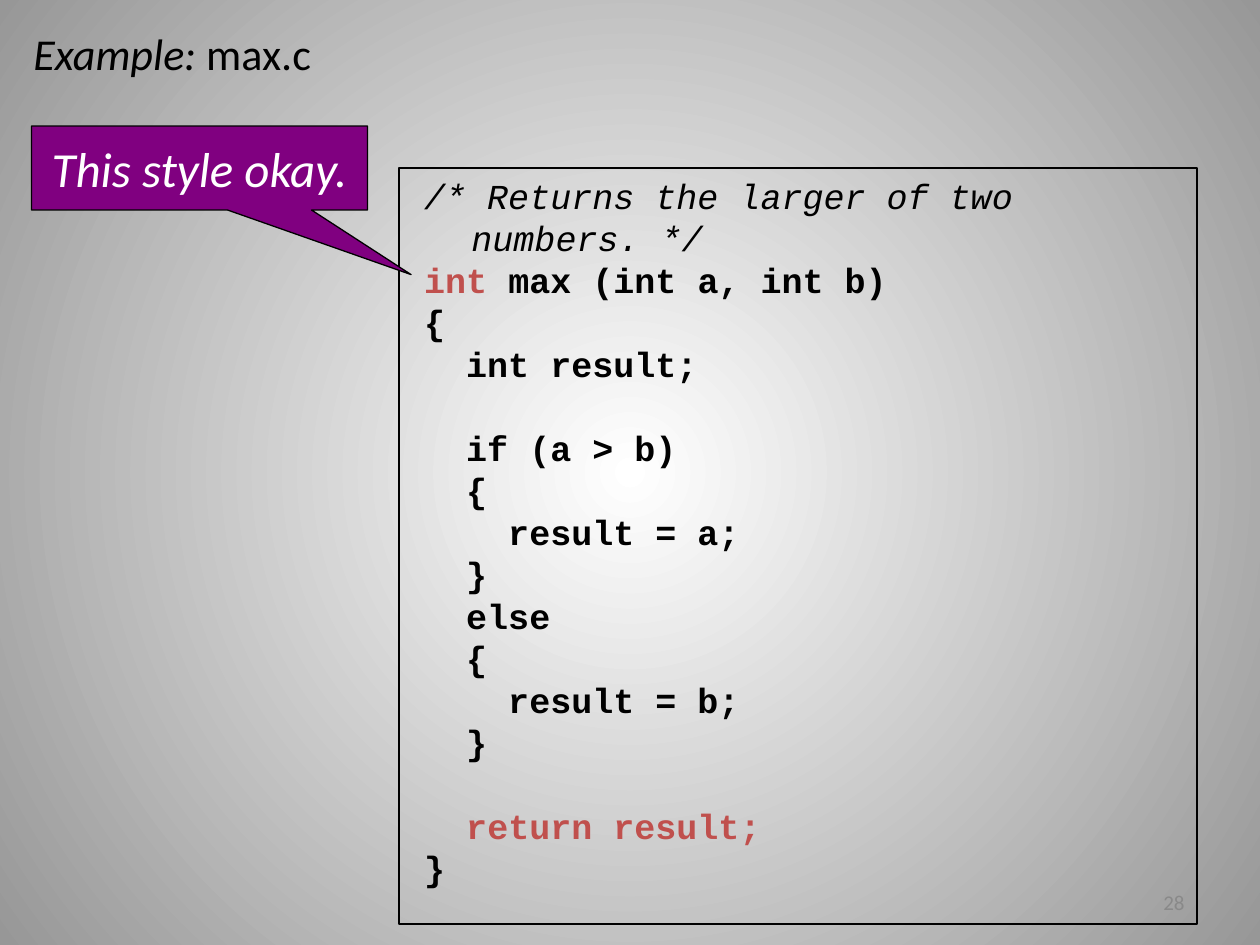
import pptx
import pptx.dml.color
import pptx.enum.shapes
import pptx.enum.text
import pptx.oxml
import pptx.oxml.ns
import pptx.util
from dataclasses import dataclass

Pt = pptx.util.Pt
Color = pptx.dml.color.RGBColor.from_string
Align = pptx.enum.text.PP_ALIGN
Anchor = pptx.enum.text.MSO_ANCHOR
Shape = pptx.enum.shapes.MSO_SHAPE


@dataclass(frozen=True)
class Theme:
    center: str = "FFFFFF"
    edge: str = "979797"
    ink: str = "000000"
    accent: str = "C0504D"
    callout: str = "800080"
    callout_ink: str = "FFFFFF"
    muted: str = "898989"
    body_font: str = "Calibri"
    code_font: str = "Courier New"
    title_size: float = 25.2
    callout_size: float = 28
    code_size: float = 20
    code_leading: float = 24
    number_size: float = 12
    outline: float = 0.75


THEME = Theme()

COMMENT = "/* Returns the larger of two numbers. */"
CODE = """\
int max (int a, int b)
{
  int result;

  if (a > b)
  {
    result = a;
  }
  else
  {
    result = b;
  }

  return result;
}"""
HIGHLIGHTS = {0: "int", 13: "return result;"}


def set_values(target, values):
    for name, value in values.items():
        setattr(target, name, value)


def style(name, size, color, **extra):
    return {"name": name, "size": Pt(size), "color": color, **extra}


def add_run(paragraph, text, format_values):
    run = paragraph.add_run()
    run.text = text
    values = dict(format_values)
    run.font.color.rgb = Color(values.pop("color"))
    set_values(run.font, values)


def add_text(slide, box, runs, alignment=Align.LEFT):
    shape = slide.shapes.add_textbox(*map(Pt, box))
    set_values(shape.text_frame, {"word_wrap": True, "vertical_anchor": Anchor.MIDDLE})
    paragraph = shape.text_frame.paragraphs[0]
    paragraph.alignment = alignment
    for text, format_values in runs:
        add_run(paragraph, text, format_values)


def add_outlined_shape(slide, kind, box, fill=None):
    shape = slide.shapes.add_shape(kind, *map(Pt, box))
    shape.shadow.inherit = False
    if fill:
        shape.fill.solid()
        shape.fill.fore_color.rgb = Color(fill)
    else:
        shape.fill.background()
    shape.line.color.rgb = Color(THEME.ink)
    shape.line.width = Pt(THEME.outline)
    return shape


def add_callout(slide, box, tip, text):
    shape = add_outlined_shape(slide, Shape.RECTANGULAR_CALLOUT, box, THEME.callout)
    for index, value in enumerate(tip):
        shape.adjustments[index] = value
    set_values(shape.text_frame, {"word_wrap": True, "vertical_anchor": Anchor.MIDDLE})
    paragraph = shape.text_frame.paragraphs[0]
    paragraph.alignment = Align.CENTER
    add_run(paragraph, text, style(THEME.body_font, THEME.callout_size,
                                   THEME.callout_ink, italic=True))


def format_code_paragraph(paragraph):
    set_values(paragraph, {"alignment": Align.LEFT,
                           "line_spacing": Pt(THEME.code_leading)})
    properties = paragraph._p.get_or_add_pPr()
    properties.set("marL", str(Pt(27)))
    properties.set("indent", str(-Pt(27)))
    set_values(paragraph.font, {"name": THEME.code_font, "size": Pt(THEME.code_size)})


def add_code(slide, box):
    shape = add_outlined_shape(slide, Shape.RECTANGLE, box)
    frame = shape.text_frame
    set_values(frame, {"word_wrap": True, "vertical_anchor": Anchor.TOP,
                       "margin_left": Pt(14.4)})
    plain = style(THEME.code_font, THEME.code_size, THEME.ink, bold=True)
    accent = {**plain, "color": THEME.accent}
    comment = {**plain, "bold": False, "italic": True}

    paragraph = frame.paragraphs[0]
    format_code_paragraph(paragraph)
    add_run(paragraph, COMMENT, comment)
    for index, line in enumerate(CODE.splitlines()):
        paragraph = frame.add_paragraph()
        format_code_paragraph(paragraph)
        before, marked, after = line.partition(HIGHLIGHTS.get(index, "\n"))
        for text, values in ((before, plain), (marked, accent), (after, plain)):
            if text:
                add_run(paragraph, text, values)


def set_radial_background(slide):
    fill = slide.background.fill
    fill.gradient()
    for stop, color, position in zip(fill.gradient_stops,
                                     (THEME.center, THEME.edge), (0, 1)):
        stop.color.rgb = Color(color)
        stop.position = position
    qn = pptx.oxml.ns.qn
    gradient = next(slide._element.iter(qn("a:gradFill")))
    linear = gradient.find(qn("a:lin"))
    radial = pptx.oxml.parse_xml(
        f'<a:path {pptx.oxml.ns.nsdecls("a")} path="circle">'
        '<a:fillToRect l="50000" t="50000" r="50000" b="50000"/></a:path>')
    gradient.replace(linear, radial)


def main():
    presentation = pptx.Presentation()
    set_values(presentation, {"slide_width": Pt(720), "slide_height": Pt(540)})
    slide = presentation.slides.add_slide(presentation.slide_layouts[6])
    set_radial_background(slide)

    add_code(slide, (228, 96, 456, 432))
    title = style(THEME.body_font, THEME.title_size, THEME.ink)
    add_text(slide, (12, 12, 240, 36),
             [("Example: ", {**title, "italic": True}), ("max.c", title)])
    add_callout(slide, (18, 72, 192, 48), (0.63, 1.27), "This style okay.")
    number = style(THEME.body_font, THEME.number_size, THEME.muted)
    add_text(slide, (516, 501, 168, 29), [("28", number)], Align.RIGHT)

    presentation.save("out.pptx")


if __name__ == "__main__":
    main()
